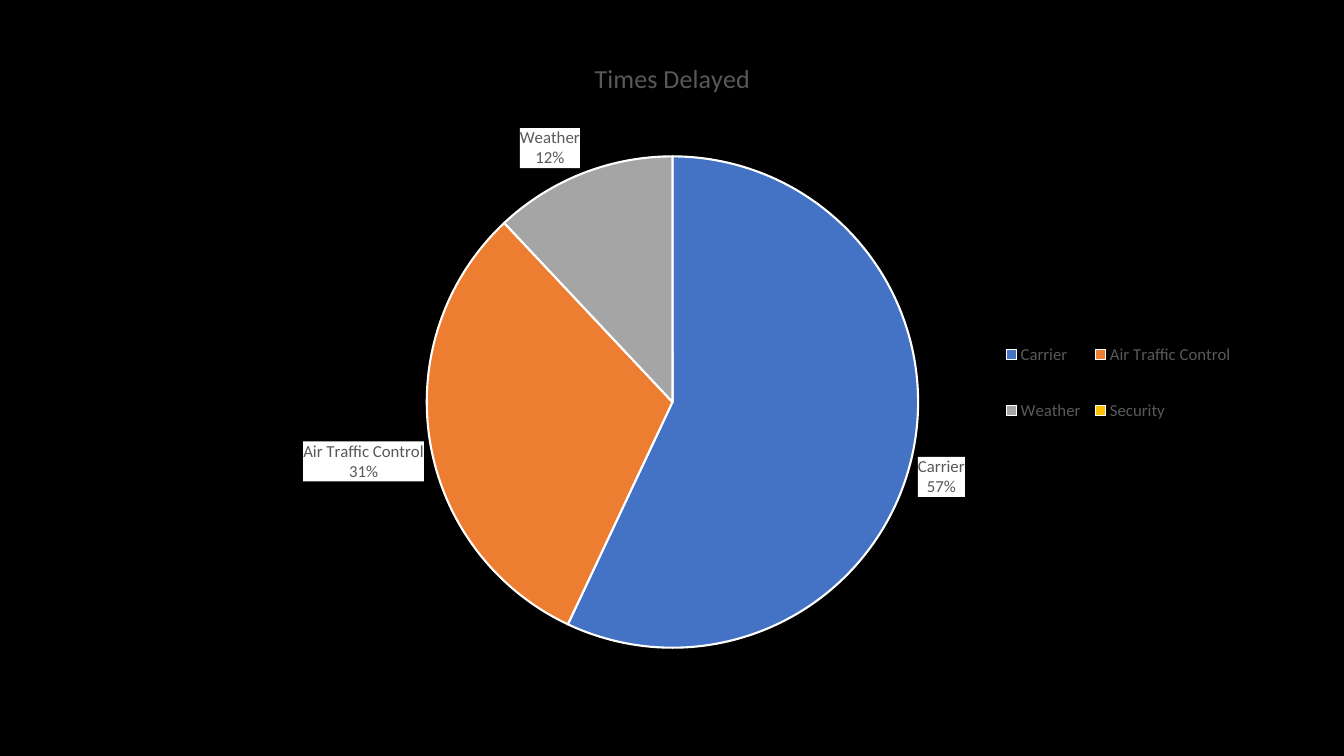
from pptx import Presentation
from pptx.chart.data import CategoryChartData
from pptx.dml.color import RGBColor
from pptx.enum.chart import XL_CHART_TYPE as CT, XL_LABEL_POSITION as LP, XL_LEGEND_POSITION as LegendPos
from pptx.oxml import parse_xml
from pptx.oxml.ns import nsdecls, qn
from pptx.util import Emu, Pt

BLACK = RGBColor(0x00, 0x00, 0x00)
WHITE = RGBColor(0xFF, 0xFF, 0xFF)
GREY = RGBColor(0x59, 0x59, 0x59)
DELAYS = [
    ("Carrier", 57, RGBColor(0x44, 0x72, 0xC4)),
    ("Air Traffic Control", 31, RGBColor(0xED, 0x7D, 0x31)),
    ("Weather", 12, RGBColor(0xA5, 0xA5, 0xA5)),
    ("Security", 0, RGBColor(0xFF, 0xC0, 0x00)),
]
TITLE = "Times Delayed"


def px(n):
    return Emu(round(n * 914400 / 100.8))


def set_attrs(obj, values):
    for name, value in values.items():
        setattr(obj, name, value)


def set_font(font, size):
    set_attrs(font, {"name": "Calibri", "size": Pt(size), "bold": False})
    font.color.rgb = GREY


def manual_layout(x, y, w, h, inner=False):
    target = '<c:layoutTarget val="inner"/>' if inner else ""
    return parse_xml(
        f'<c:layout {nsdecls("c")}><c:manualLayout>{target}'
        '<c:xMode val="edge"/><c:yMode val="edge"/>'
        f'<c:x val="{x}"/><c:y val="{y}"/><c:w val="{w}"/><c:h val="{h}"/>'
        '</c:manualLayout></c:layout>')


def style_slices(series):
    for i, (_, _, color) in enumerate(DELAYS):
        fmt = series.points[i].format
        fmt.fill.solid()
        fmt.fill.fore_color.rgb = color
        fmt.line.color.rgb = WHITE
        fmt.line.width = Pt(1.5)


def style_labels(labels):
    set_attrs(labels, {
        "show_category_name": True, "show_percentage": True, "show_value": False,
        "show_legend_key": False, "show_series_name": False,
        "number_format": "0%", "number_format_is_linked": False,
        "position": LP.OUTSIDE_END})
    set_font(labels.font, 12)
    el = labels._element
    el.find(qn("c:txPr")).addprevious(parse_xml(
        f'<c:spPr {nsdecls("c", "a")}><a:solidFill><a:srgbClr val="{WHITE}"/></a:solidFill>'
        '<a:ln><a:noFill/></a:ln></c:spPr>'))
    el.find(qn("c:showBubbleSize")).addnext(parse_xml(
        f'<c:separator {nsdecls("c")}>\n</c:separator>'))


def add_legend(chart):
    chart.has_legend = True
    legend = chart.legend
    set_attrs(legend, {"position": LegendPos.RIGHT, "include_in_layout": False})
    set_font(legend.font, 12)
    el = legend._element
    for old in el.findall(qn("c:layout")):
        el.remove(old)
    el.find(qn("c:legendPos")).addnext(manual_layout(0.78, 0.4, 0.21, 0.22))


def add_delay_pie(s, x, y, w, h):
    data = CategoryChartData()
    data.categories = [name for name, _, _ in DELAYS]
    data.add_series(TITLE, [value for _, value, _ in DELAYS])
    chart = s.shapes.add_chart(CT.PIE, px(x), px(y), px(w), px(h), data).chart
    set_font(chart.font, 10)
    chart.has_title = True
    tf = chart.chart_title.text_frame
    tf.text = TITLE
    set_font(tf.paragraphs[0].runs[0].font, 18.6)
    chart.chart_title.include_in_layout = False
    plot = chart.plots[0]
    plot.vary_by_categories = True
    style_slices(plot.series[0])
    style_labels(plot.series[0].data_labels)
    add_legend(chart)
    area = chart._chartSpace.chart.plotArea
    for old in area.findall(qn("c:layout")):
        area.remove(old)
    area.insert(0, manual_layout(0.288, 0.176, 0.424, 0.725, inner=True))


def main():
    prs = Presentation()
    set_attrs(prs, {"slide_width": px(1344), "slide_height": px(756)})
    s = prs.slides.add_slide(prs.slide_layouts[6])
    s.background.fill.solid()
    s.background.fill.fore_color.rgb = BLACK
    add_delay_pie(s, 93, 37, 1159, 678)
    prs.save("out.pptx")


if __name__ == "__main__":
    main()
